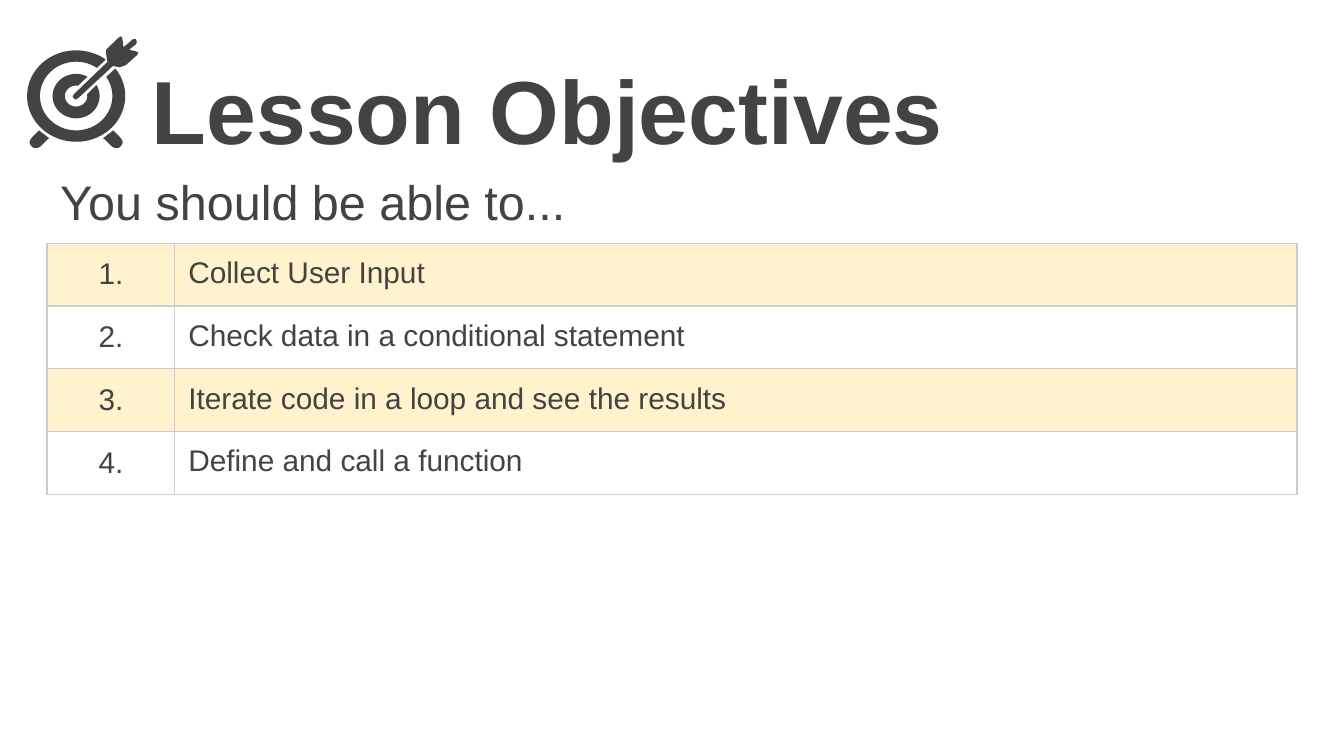
import math

import pptx
import pptx.dml.color
import pptx.enum.text
import pptx.oxml
import pptx.oxml.ns
import pptx.util

Pt = pptx.util.Pt
ANCHOR = pptx.enum.text.MSO_ANCHOR
ALIGN = pptx.enum.text.PP_ALIGN

COLORS = {"ink": "434343", "band": "FFF2CC", "plain": "FFFFFF", "border": "CCCCCC"}
FONT = "Arial"
INSET = 7.2

OBJECTIVES = [
    "Collect User Input",
    "Check data in a conditional statement",
    "Iterate code in a loop and see the results",
    "Define and call a function",
]

# Icon outlines on a 60 by 60 grid
GRID = 60
CENTER = (26.4, 32)
FOOT = [(6.5, 50.4), (2.9, 54), (1.8, 55.5), (1.4, 56.9), (2.2, 58.6), (3.6, 59.8),
        (5.6, 59.8), (7.2, 59.1), (11.5, 54.8), (12.2, 54.8), (9.4, 52.6)]
DART = [(50.4, 0), (49, 0.8), (43.9, 5.8), (42.5, 7.2), (42.5, 9.4), (43.2, 13.7),
        (25.2, 31), (24.5, 32.4), (25.9, 33.9), (27.4, 33.2), (46.1, 15.9),
        (49.7, 16.6), (51.8, 15.9), (53.3, 15.2), (59, 10.1), (59.8, 8.7),
        (58.3, 8), (54.7, 7.2), (58.3, 4.4), (59, 2.9), (58.3, 1.5),
        (56.9, 1.5), (51.8, 5.8), (51.1, 0.8)]


def rgb(name):
    return pptx.dml.color.RGBColor.from_string(COLORS[name])


def write(tf, text, size, bold=False):
    tf.text = text
    p = tf.paragraphs[0]
    font = p.runs[0].font
    font.name, font.size, font.bold = FONT, Pt(size), bold
    font.color.rgb = rgb("ink")
    return p


def add_text(s, x, y, w, h, text, size, bold=False, anchor=ANCHOR.TOP, top=INSET):
    tf = s.shapes.add_textbox(Pt(x), Pt(y), Pt(w), Pt(h)).text_frame
    tf.word_wrap = True
    tf.vertical_anchor = anchor
    tf.margin_left = tf.margin_right = tf.margin_bottom = Pt(INSET)
    tf.margin_top = Pt(top)
    write(tf, text, size, bold)


def arc(rx, ry, start, end, steps=60):
    """Points along an ellipse about CENTER, angles in degrees, counterclockwise."""
    angles = [math.radians(start + (end - start) * i / steps) for i in range(steps + 1)]
    return [(CENTER[0] + rx * math.cos(a), CENTER[1] - ry * math.sin(a)) for a in angles]


def add_target_icon(s, x, y, w, h):
    group = s.shapes.add_group_shape()
    outlines = [
        arc(26.3, 24.5, 53, 397) + arc(19.4, 18.4, 394, 55),
        arc(12.6, 11.9, 61, 390) + arc(6, 5.6, 370, 80),
        FOOT,
        [(2 * CENTER[0] - px, py) for px, py in FOOT],
        DART,
    ]
    for outline in outlines:
        points = [(Pt(x + px * w / GRID), Pt(y + py * h / GRID)) for px, py in outline]
        builder = group.shapes.build_freeform(*points[0])
        builder.add_line_segments(points[1:], close=True)
        sp = builder.convert_to_shape()
        sp.shadow.inherit = False
        sp.fill.solid()
        sp.fill.fore_color.rgb = rgb("ink")
        sp.line.fill.background()


def set_borders(cell):
    ns = pptx.oxml.ns.nsdecls("a")
    tc_pr = cell._tc.get_or_add_tcPr()
    for i, side in enumerate(("lnL", "lnR", "lnT", "lnB")):
        tc_pr.insert(i, pptx.oxml.parse_xml(
            f'<a:{side} {ns} w="{Pt(0.75)}"><a:solidFill>'
            f'<a:srgbClr val="{COLORS["border"]}"/></a:solidFill></a:{side}>'))


def add_objectives_table(s, x, y, w, h):
    number_w = 68.5
    rows = len(OBJECTIVES)
    table = s.shapes.add_table(rows, 2, Pt(x), Pt(y), Pt(w), Pt(h)).table
    table.first_row = table.horz_banding = False
    table.columns[0].width = Pt(number_w)
    table.columns[1].width = Pt(w - number_w)
    for i, objective in enumerate(OBJECTIVES):
        table.rows[i].height = Pt(h / rows)
        for j, text in enumerate((f"{i + 1}.", objective)):
            cell = table.cell(i, j)
            cell.margin_left = cell.margin_right = Pt(INSET)
            cell.margin_top = cell.margin_bottom = Pt(INSET)
            cell.fill.solid()
            cell.fill.fore_color.rgb = rgb("plain" if i % 2 else "band")
            set_borders(cell)
            p = write(cell.text_frame, text, 16)
            if j == 0:
                p.alignment = ALIGN.CENTER
                cell.vertical_anchor = ANCHOR.MIDDLE


def add_objectives_slide(prs):
    s = prs.slides.add_slide(prs.slide_layouts[6])
    add_text(s, 74.2, 18, 565.2, 62.6, "Lesson Objectives", 48, bold=True, top=11.4)
    add_target_icon(s, 14.4, 19.5, 60, 60)
    add_objectives_table(s, 25.2, 130.3, 669.6, 128.6)
    add_text(s, 25.2, 83.5, 669.6, 46.8, "You should be able to...", 26, anchor=ANCHOR.BOTTOM)


def main():
    prs = pptx.Presentation()
    prs.slide_width, prs.slide_height = Pt(720), Pt(405)
    add_objectives_slide(prs)
    prs.save("out.pptx")


if __name__ == "__main__":
    main()
